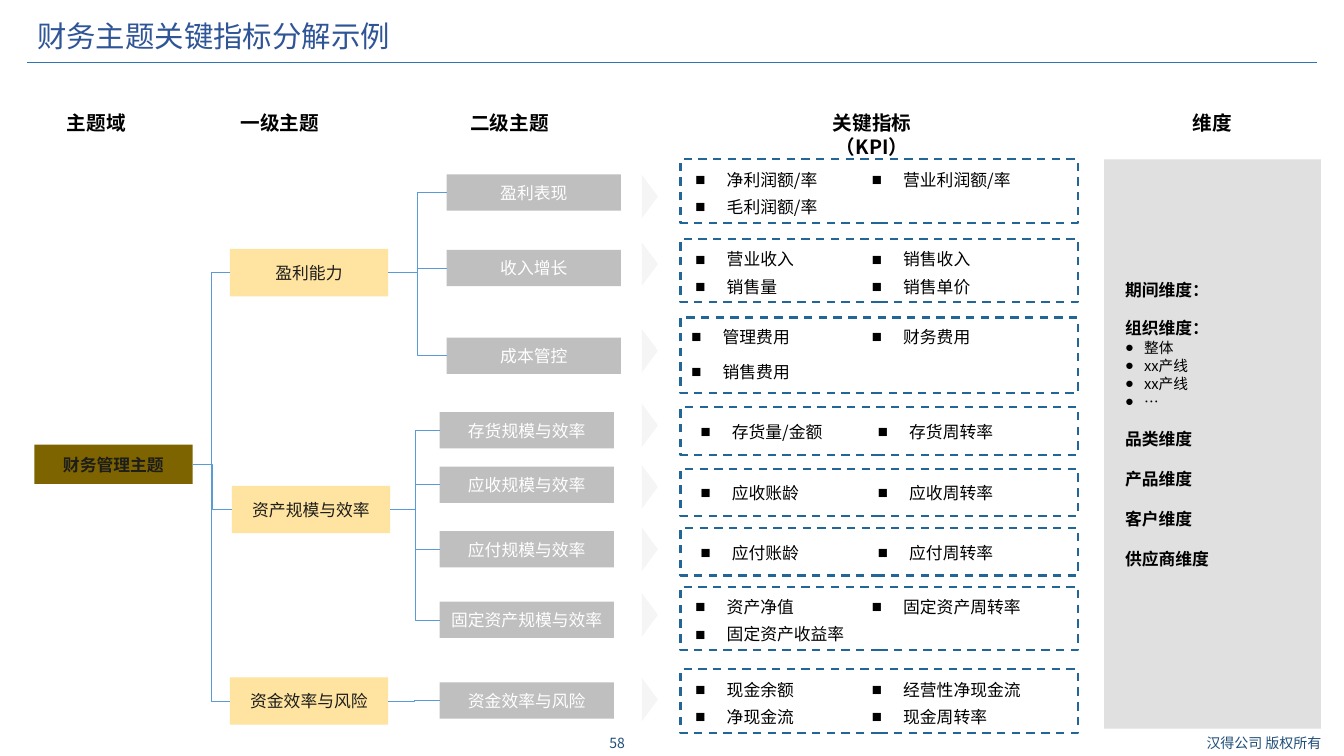
"""Build the slide that breaks the finance theme down into key indicators."""
from lxml.etree import SubElement
from pptx import Presentation
from pptx.dml.color import RGBColor
from pptx.enum.dml import MSO_LINE
from pptx.enum.shapes import MSO_CONNECTOR, MSO_SHAPE
from pptx.enum.text import MSO_ANCHOR, PP_ALIGN
from pptx.oxml.ns import qn
from pptx.util import Pt

FONT = "Noto Sans CJK SC"
PX = 9144
LEAD = 1.22
HUES = {
    "title": "2F5597", "foot": "1F4E79", "rule": "2E75B6", "link": "5B9BD5",
    "root": "7E6400", "theme": "FEE3A1", "sub": "BFBFBF", "arrow": "F5F5F5",
    "dash": "226597", "panel": "E0E0E0", "dark": "1D1D1A",
    "black": "000000", "white": "FFFFFF",
}

TITLE = "财务主题关键指标分解示例"
HEADS = [
    ("主题域", 34, 123), ("一级主题", 210, 135), ("二级主题", 438, 135),
    ("关键指标（KPI）", 781, 168), ("维度", 1095, 215),
]
FEET = [("58", 577, 70), ("汉得公司 版权所有", 1174, 159)]
ROOT = ("财务管理主题", 34, 441)

WIDE = {"cols": (680, 855), "pad": 5, "step": 27}
LOOSE = {"cols": (676, 855), "pad": 4, "step": 35}
LONE = {"cols": (685, 861), "pad": 9, "step": 0}

# name, left, top, then sub-themes: name, top, arrow top, KPI top, KPI height, grid, rows
THEMES = [
    ("盈利能力", 228, 247, 443, [
        ("盈利表现", 173, 187, 158, 63, WIDE, [("净利润额/率", "营业利润额/率"), ("毛利润额/率",)]),
        ("收入增长", 248, 254, 237, 63, WIDE, [("营业收入", "销售收入"), ("销售量", "销售单价")]),
        ("成本管控", 335, 340, 315, 75, LOOSE, [("管理费用", "财务费用"), ("销售费用",)]),
    ]),
    ("资产规模与效率", 230, 482, 436, [
        ("存货规模与效率", 409, 414, 404, 47, LONE, [("存货量/金额", "存货周转率")]),
        ("应收规模与效率", 463, 475, 465, 47, LONE, [("应收账龄", "应收周转率")]),
        ("应付规模与效率", 527, 537, 524, 47, LONE, [("应付账龄", "应付周转率")]),
        ("固定资产规模与效率", 597, 602, 582, 63, WIDE, [("资产净值", "固定资产周转率"), ("固定资产收益率",)]),
    ]),
    ("资金效率与风险", 228, 672, 436, [
        ("资金效率与风险", 677, 686, 664, 63, WIDE, [("现金余额", "经营性净现金流"), ("净现金流", "现金周转率")]),
    ]),
]

HEAD = {"size": 12, "bold": True}
ITEM = {"size": 10.5, "mark": "●", "hang": 19}
DIMS = [
    ("期间维度：", HEAD), ("组织维度：", HEAD | {"gap": 13}),
    ("整体", ITEM), ("xx产线", ITEM), ("xx产线", ITEM), ("…", ITEM),
    ("品类维度", HEAD | {"gap": 13}), ("产品维度", HEAD | {"gap": 14}),
    ("客户维度", HEAD | {"gap": 14}), ("供应商维度", HEAD | {"gap": 14}),
]

deck = Presentation()
deck.slide_width, deck.slide_height = 1333 * PX, 750 * PX
slide = deck.slides.add_slide(deck.slide_layouts[6])


def tint(name):
    return RGBColor.from_string(HUES[name])


def write(para, text, size=12, hue="black", bold=False, align=PP_ALIGN.LEFT,
          gap=0, lead=LEAD, mark=None, hang=0):
    para.alignment = align
    para.line_spacing = Pt(round(size * lead, 2))
    if gap:
        para.space_before = Pt(gap)
    if mark:
        props = para._p.get_or_add_pPr()
        props.set("marL", str(hang * PX))
        props.set("indent", str(-hang * PX))
        SubElement(props, qn("a:buFont")).set("typeface", "Arial")
        SubElement(props, qn("a:buChar")).set("char", mark)
    run = para.add_run()
    run.text = text
    run.font.size, run.font.bold, run.font.name = Pt(size), bold, FONT
    run.font.color.rgb = tint(hue)
    SubElement(run._r.get_or_add_rPr(), qn("a:ea")).set("typeface", FONT)


def label(lines, x, y, w, h, anchor=MSO_ANCHOR.TOP):
    frame = slide.shapes.add_textbox(x * PX, y * PX, w * PX, h * PX).text_frame
    frame.word_wrap, frame.vertical_anchor = True, anchor
    for i, (text, look) in enumerate(lines):
        write(frame.add_paragraph() if i else frame.paragraphs[0], text, **look)


def block(x, y, w, h, fill=None, kind=MSO_SHAPE.RECTANGLE, text=None, **look):
    shape = slide.shapes.add_shape(kind, x * PX, y * PX, w * PX, h * PX)
    shape.shadow.inherit = False
    if fill:
        shape.fill.solid()
        shape.fill.fore_color.rgb = tint(fill)
        shape.line.fill.background()
    else:
        shape.fill.background()
        shape.line.color.rgb = tint("dash")
        shape.line.width, shape.line.dash_style = Pt(1.5), MSO_LINE.DASH
    if text:
        shape.text_frame.vertical_anchor = MSO_ANCHOR.MIDDLE
        write(shape.text_frame.paragraphs[0], text, align=PP_ALIGN.CENTER, **look)
    return shape


def join(kind, ends, hue, width):
    line = slide.shapes.add_connector(kind, *(round(v * PX) for v in ends))
    line.line.color.rgb, line.line.width = tint(hue), Pt(width)
    SubElement(line._element.spPr, qn("a:effectLst"))


def link(*ends):
    join(MSO_CONNECTOR.ELBOW, ends, "link", 0.5)


def indicators(top, high, grid, rows):
    block(675, top, 394, high)
    for r, row in enumerate(rows):
        for x, text in zip(grid["cols"], row):
            y = top + grid["pad"] + r * grid["step"]
            label([(text, {"mark": "■", "hang": 31})], x, y, 177, 30)


def tree():
    name, x, y = ROOT
    block(x, y, 157, 39, "root", text=name, hue="dark", bold=True)
    hub = (x + 157, y + 19.5)
    for name, x, y, left, subs in THEMES:
        mid = y + 23.5
        block(x, y, 157, 47, "theme", text=name, hue="dark")
        link(*hub, x, mid)
        for sub, top, tip, *kpi in subs:
            block(left, top, 173, 36, "sub", text=sub, hue="white")
            link(x + 157, mid, left, top + 18)
            block(623, tip, 43, 16, "arrow", MSO_SHAPE.ISOSCELES_TRIANGLE).rotation = 90
            indicators(*kpi)


def main():
    join(MSO_CONNECTOR.STRAIGHT, (27, 62, 1306, 62), "rule", 0.75)
    label([(TITLE, {"size": 21, "hue": "title", "lead": 1.14})], 27, 15, 1157, 42)
    for text, x, w in HEADS:
        label([(text, {"size": 14, "bold": True, "align": PP_ALIGN.CENTER})], x, 105, w, 34)
    for text, x, w in FEET:
        look = {"size": 10, "hue": "foot", "align": PP_ALIGN.CENTER}
        label([(text, look)], x, 723, w, 27, MSO_ANCHOR.MIDDLE)
    tree()
    block(1095, 158, 215, 565, "panel")
    label(DIMS, 1106, 272, 190, 300)
    deck.save("out.pptx")


if __name__ == "__main__":
    main()
